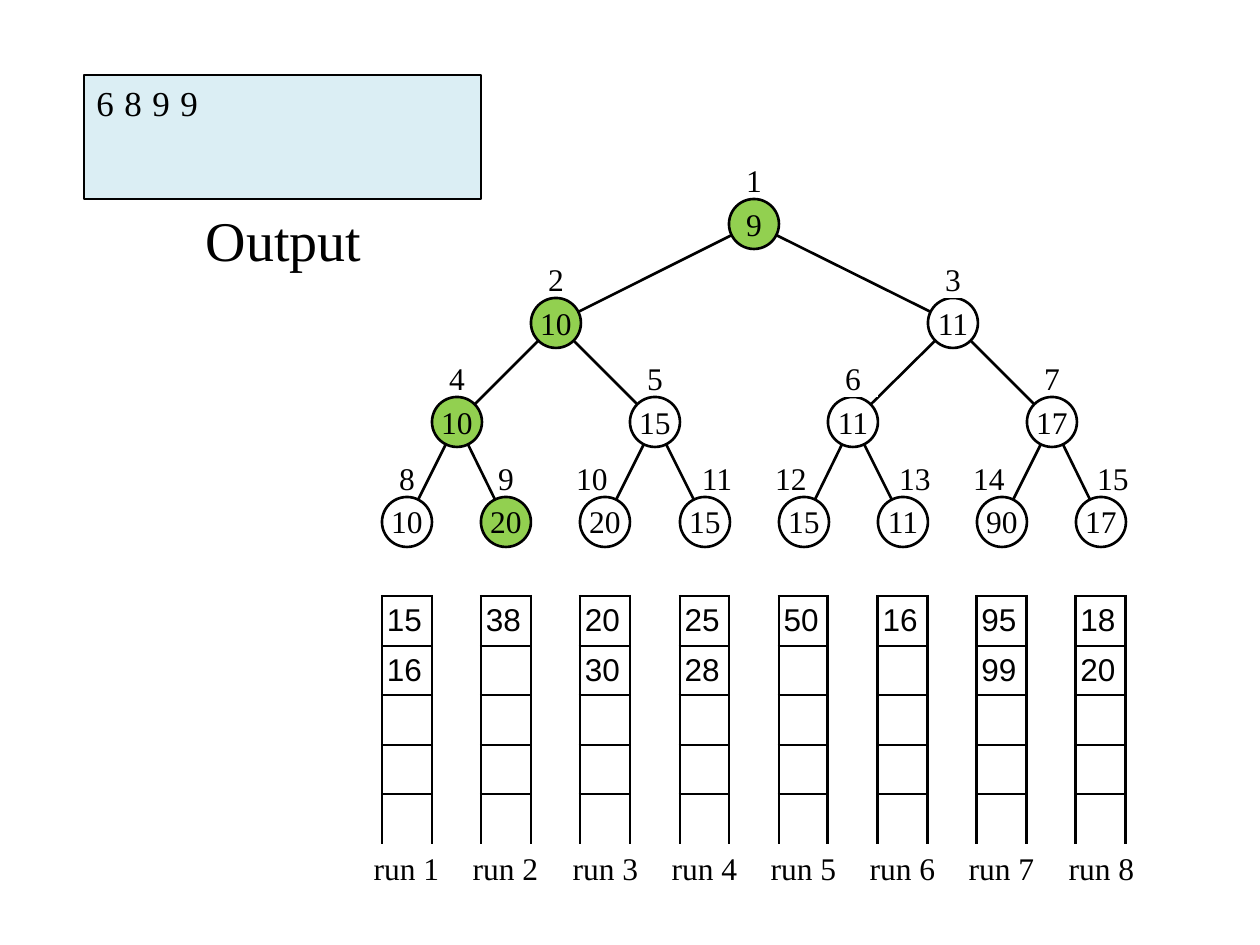
from lxml import etree
from pptx import Presentation
from pptx.dml.color import RGBColor
from pptx.enum.shapes import MSO_CONNECTOR, MSO_SHAPE
from pptx.enum.text import MSO_ANCHOR, PP_ALIGN
from pptx.oxml.ns import qn
from pptx.util import Pt

OVAL, RECTANGLE = MSO_SHAPE.OVAL, MSO_SHAPE.RECTANGLE
STRAIGHT = MSO_CONNECTOR.STRAIGHT
TOP, MIDDLE, BOTTOM = MSO_ANCHOR.TOP, MSO_ANCHOR.MIDDLE, MSO_ANCHOR.BOTTOM
LEFT, CENTER = PP_ALIGN.LEFT, PP_ALIGN.CENTER

EMU_PER_PIXEL = 914400 / 126
COLORS = {"ink": "000000", "paper": "FFFFFF", "winner": "92D050", "output": "DBEEF4"}


def px(length):
    return round(length * EMU_PER_PIXEL)


def color(name):
    return RGBColor.from_string(COLORS[name])


class SlideBuilder:
    serif, sans = "Times New Roman", "Arial"
    line_width = Pt(1.5)

    def __init__(self, slide):
        self.slide = slide

    def add_text(self, frame, text, size=18, font=None, align=CENTER, before=0, spacing=0):
        para = frame.paragraphs[0]
        for name, value in {"alignment": align, "space_before": Pt(before)}.items():
            setattr(para, name, value)
        span = para.add_run()
        span.text = text
        for name, value in {"name": font or self.serif, "size": Pt(size)}.items():
            setattr(span.font, name, value)
        span.font.color.rgb = color("ink")
        if spacing:
            span._r.get_or_add_rPr().set("spc", str(spacing * 100))

    def set_frame(self, frame, anchor, wrap, inset):
        values = {"vertical_anchor": anchor, "word_wrap": wrap}
        if inset is not None:
            values.update({f"margin_{side}": px(inset)
                           for side in ("left", "top", "right", "bottom")})
        for name, value in values.items():
            setattr(frame, name, value)

    def title(self, text, area, **style):
        box = self.slide.shapes.title
        for name, value in zip(("left", "top", "width", "height"), area):
            setattr(box, name, px(value))
        self.set_frame(box.text_frame, TOP, True, None)
        self.add_text(box.text_frame, text, **style)

    def shape(self, kind, text, area, fill, outlined=True, anchor=MIDDLE,
              wrap=True, inset=0, **style):
        box = self.slide.shapes.add_shape(kind, *map(px, area))
        box.shadow.inherit = False
        box.fill.solid()
        box.fill.fore_color.rgb = color(fill)
        if outlined:
            box.line.color.rgb = color("ink")
            box.line.width = self.line_width
        else:
            box.line.fill.background()
        self.set_frame(box.text_frame, anchor, wrap, inset)
        self.add_text(box.text_frame, text, **style)

    def label(self, text, area, anchor=BOTTOM, inset=0):
        box = self.slide.shapes.add_textbox(*map(px, area))
        self.set_frame(box.text_frame, anchor, False, inset)
        self.add_text(box.text_frame, text)

    def line(self, start, end):
        edge = self.slide.shapes.add_connector(STRAIGHT, *map(px, (*start, *end)))
        edge.line.color.rgb = color("ink")
        edge.line.width = self.line_width
        etree.SubElement(edge._element.spPr, qn("a:effectLst"))

    def cell_borders(self, cell, visible):
        properties = cell._tc.get_or_add_tcPr()
        for index, side in enumerate("LRTB"):
            border = etree.Element(qn(f"a:ln{side}"), w=str(self.line_width))
            if side in visible:
                fill = etree.SubElement(border, qn("a:solidFill"))
                etree.SubElement(fill, qn("a:srgbClr"), val=COLORS["ink"])
            else:
                etree.SubElement(border, qn("a:noFill"))
            properties.insert(index, border)

    def run_table(self, runs, columns, rows):
        """Draw one open-ended column per run, with an empty column between runs."""
        area = (columns[0], rows[0], columns[-1] - columns[0], rows[-1] - rows[0])
        table = self.slide.shapes.add_table(
            len(rows) - 1, len(columns) - 1, *map(px, area)).table
        table.first_row = table.horz_banding = False
        for column, start, end in zip(table.columns, columns, columns[1:]):
            column.width = px(end - start)
        for row, start, end in zip(table.rows, rows, rows[1:]):
            row.height = px(end - start)
        last = len(rows) - 2
        for r in range(len(rows) - 1):
            for c in range(len(columns) - 1):
                cell = table.cell(r, c)
                cell.fill.background()
                for side in ("left", "top", "right", "bottom"):
                    setattr(cell, f"margin_{side}", px(5))
                cell.vertical_anchor = MIDDLE
                visible = "LR"
                if c % 2 == 0:
                    visible += "T" if r == last else "TB"
                self.cell_borders(cell, visible)
                values = runs[c // 2] if c % 2 == 0 else []
                text = str(values[r]) if r < len(values) else ""
                self.add_text(cell.text_frame, text, font=self.sans, align=LEFT)


# Grid: everything sits on squares of one unit
UNIT, GRID_LEFT, TREE_TOP, TABLE_TOP = 49.6, 382, 199, 596
NODE = 50


def grid(start, units):
    return round(start + units * UNIT)


def node_corner(number):
    depth = number.bit_length() - 1
    place = number - 2 ** depth
    leaves = 8 / 2 ** depth
    column = (place + 0.5) * leaves - 0.5
    return grid(GRID_LEFT, 2 * column), grid(TREE_TOP, 2 * depth)


def node_center(number):
    return tuple(value + NODE // 2 for value in node_corner(number))


KEYS = [9, 10, 11, 10, 15, 11, 17, 10, 20, 20, 15, 15, 11, 90, 17]
WINNERS = {1, 2, 4, 9}
MASKED_LABELS = {3, 6}
RUNS = [[15, 16], [38], [20, 30], [25, 28], [50], [16], [95, 99], [18, 20]]

deck = Presentation()
deck.slide_width, deck.slide_height = px(1260), px(945)
page = SlideBuilder(deck.slides.add_slide(deck.slide_layouts[5]))

# Output buffer
page.title("Output", (184, 199, 199, 100), size=32, before=4)
page.shape(RECTANGLE, "6899", (84, 75, 397, 124), "output", anchor=TOP, inset=None,
           size=20, align=LEFT, before=2, spacing=6)

# Tree edges, then nodes
for number in range(2, len(KEYS) + 1):
    page.line(node_center(number // 2), node_center(number))
for number, key in enumerate(KEYS, 1):
    page.shape(OVAL, str(key), (*node_corner(number), NODE, NODE),
               "winner" if number in WINNERS else "paper",
               anchor=BOTTOM if number >= 8 else MIDDLE)

# Sorted runs
page.run_table(RUNS, [grid(GRID_LEFT, n) for n in range(2 * len(RUNS))],
               [grid(TABLE_TOP, n) for n in range(6)])
for index in range(len(RUNS)):
    page.label(f"run {index + 1}",
               (grid(GRID_LEFT, 2 * index - 0.5), grid(TABLE_TOP, 5), 99, NODE),
               anchor=TOP, inset=5)

# Node numbers: two-digit ones lean away from the parent edge
for number in range(1, len(KEYS) + 1):
    left, top = node_corner(number)
    width = 74 if number >= 10 else NODE
    if number >= 10 and number % 2 == 0:
        left -= 25
    area = (left, top - NODE, width, NODE)
    if number in MASKED_LABELS:
        page.shape(RECTANGLE, str(number), area, "paper", outlined=False,
                   anchor=BOTTOM, wrap=False)
    else:
        page.label(str(number), area)

deck.save("out.pptx")
